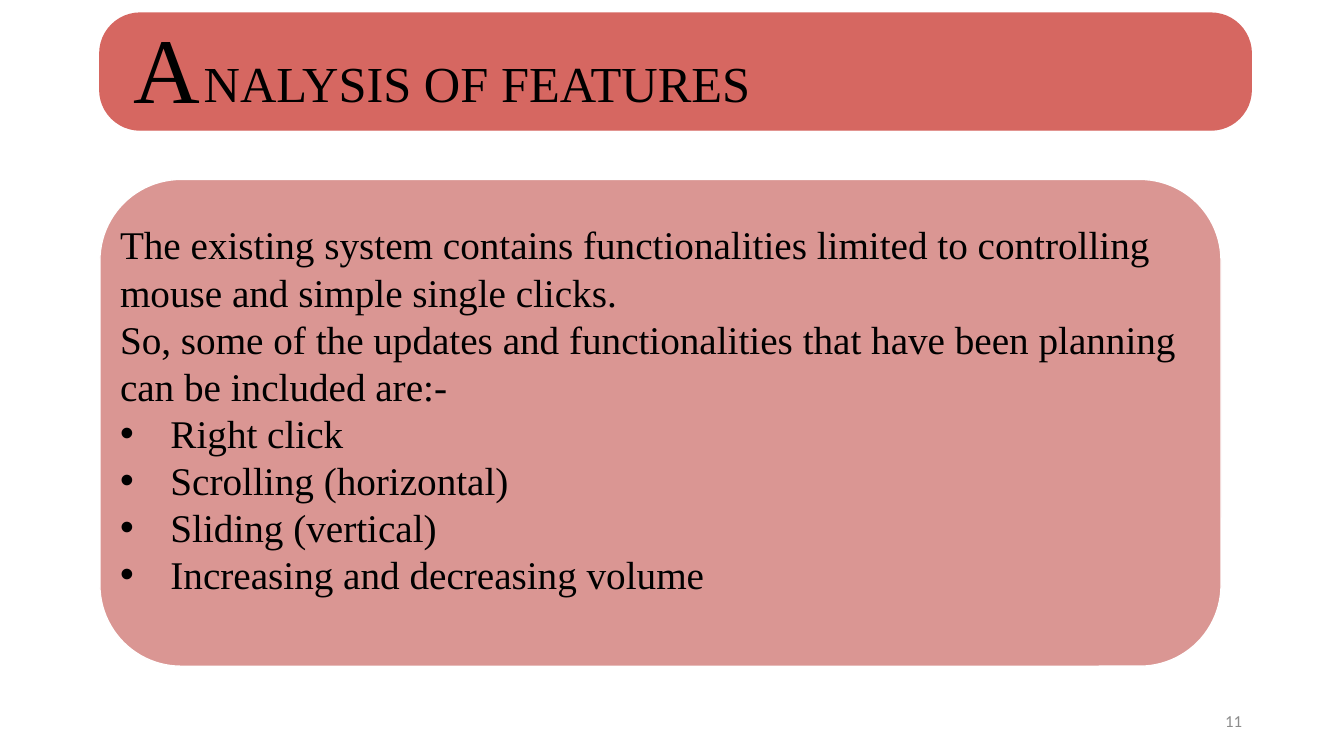
import pptx
import pptx.util
import pptx.dml.color
import pptx.enum.shapes
import pptx.enum.text
import pptx.oxml.ns
import lxml.etree

WIDTH, HEIGHT = 13.33, 7.5
COLORS = {"banner": "D66761", "panel": "DA9693", "white": "FFFFFF",
          "text": "000000", "number": "8C8C8C"}
SERIF = "Times New Roman"
ALIGN = pptx.enum.text.PP_ALIGN
ANCHOR = pptx.enum.text.MSO_ANCHOR

INTRO = [
    "The existing system contains functionalities limited to controlling "
    "mouse and simple single clicks.",
    "So, some of the updates and functionalities that have been planning "
    "can be included are:-",
]
FEATURES = ["Right click", "Scrolling (horizontal)", "Sliding (vertical)",
            "Increasing and decreasing volume"]


def rgb(name):
    return pptx.dml.color.RGBColor.from_string(COLORS[name])


def share(x, y, w, h):
    """Turn percentages of the slide's size into lengths."""
    return [pptx.util.Inches(v * full / 100)
            for v, full in zip((x, y, w, h), (WIDTH, HEIGHT) * 2)]


def set_all(obj, values):
    for name, value in values.items():
        setattr(obj, name, value)


def place(sp, box):
    set_all(sp, dict(zip(("left", "top", "width", "height"), share(*box))))


def set_bullet(p, char=None, indent=0):
    """Give the paragraph a hanging bullet, or none."""
    pPr = p._p.get_or_add_pPr()
    pPr.set("marL", str(pptx.util.Inches(indent)))
    pPr.set("indent", str(pptx.util.Inches(-indent)))
    if char:
        font = lxml.etree.SubElement(pPr, pptx.oxml.ns.qn("a:buFont"))
        font.set("typeface", "Arial")
        bullet = lxml.etree.SubElement(pPr, pptx.oxml.ns.qn("a:buChar"))
        bullet.set("char", char)
    else:
        lxml.etree.SubElement(pPr, pptx.oxml.ns.qn("a:buNone"))


def write(p, text, size, color="text", font=SERIF, align=ALIGN.LEFT):
    set_all(p, {"alignment": align, "space_before": pptx.util.Pt(0)})
    r = p.add_run()
    r.text = text
    set_all(r.font, {"name": font, "size": pptx.util.Pt(size)})
    r.font.color.rgb = rgb(color)


def format_frame(tf, wrap=True, anchor=ANCHOR.TOP):
    set_all(tf, {"word_wrap": wrap, "vertical_anchor": anchor,
                 "auto_size": pptx.enum.text.MSO_AUTO_SIZE.NONE})


def add_panel(s, box, fill, line, corner):
    kind = pptx.enum.shapes.MSO_SHAPE.ROUNDED_RECTANGLE
    sp = s.shapes.add_shape(kind, *share(*box))
    sp.shadow.inherit = False
    sp.adjustments[0] = corner
    sp.fill.solid()
    sp.fill.fore_color.rgb = rgb(fill)
    sp.line.color.rgb = rgb(line)
    sp.line.width = pptx.util.Pt(1)


def add_label(s, box, text, size, anchor=ANCHOR.TOP, **style):
    tf = s.shapes.add_textbox(*share(*box)).text_frame
    format_frame(tf, anchor=anchor)
    write(tf.paragraphs[0], text, size, **style)


def bring_to_front(sp):
    sp.element.getparent().append(sp.element)


def fill_title(sp, box, text):
    place(sp, box)
    format_frame(sp.text_frame, wrap=False)
    write(sp.text_frame.paragraphs[0], text, 36)
    bring_to_front(sp)


def fill_body(sp, box):
    place(sp, box)
    tf = sp.text_frame
    format_frame(tf)
    items = [(text, None, 0) for text in INTRO]
    items += [(text, "•", 0.5) for text in FEATURES]
    for i, (text, char, indent) in enumerate(items):
        p = tf.add_paragraph() if i else tf.paragraphs[0]
        set_bullet(p, char, indent)
        write(p, text, 28)
    bring_to_front(sp)


def main():
    prs = pptx.Presentation()
    set_all(prs, {"slide_width": pptx.util.Inches(WIDTH),
                  "slide_height": pptx.util.Inches(HEIGHT)})
    s = prs.slides.add_slide(prs.slide_layouts[1])
    title, body = s.placeholders

    # Page number
    add_label(s, (70.67, 92.67, 22.5, 5.33), "11", 12, ANCHOR.MIDDLE,
              color="number", font="Calibri", align=ALIGN.RIGHT)

    # Banner with a large initial
    add_panel(s, (7.43, 1.73, 85.67, 15.47), "banner", "banner", 0.345)
    add_label(s, (8.7, 0.8, 7.5, 16.13), "A", 66, align=ALIGN.CENTER)
    fill_title(title, (14.4, 6.27, 42.61, 9.47), "NALYSIS OF FEATURES")

    # Feature panel
    add_panel(s, (7.43, 23.73, 83.42, 64.4), "panel", "white", 0.1667)
    fill_body(body, (8.18, 28.53, 81.47, 57.87))

    prs.save("out.pptx")


if __name__ == "__main__":
    main()
